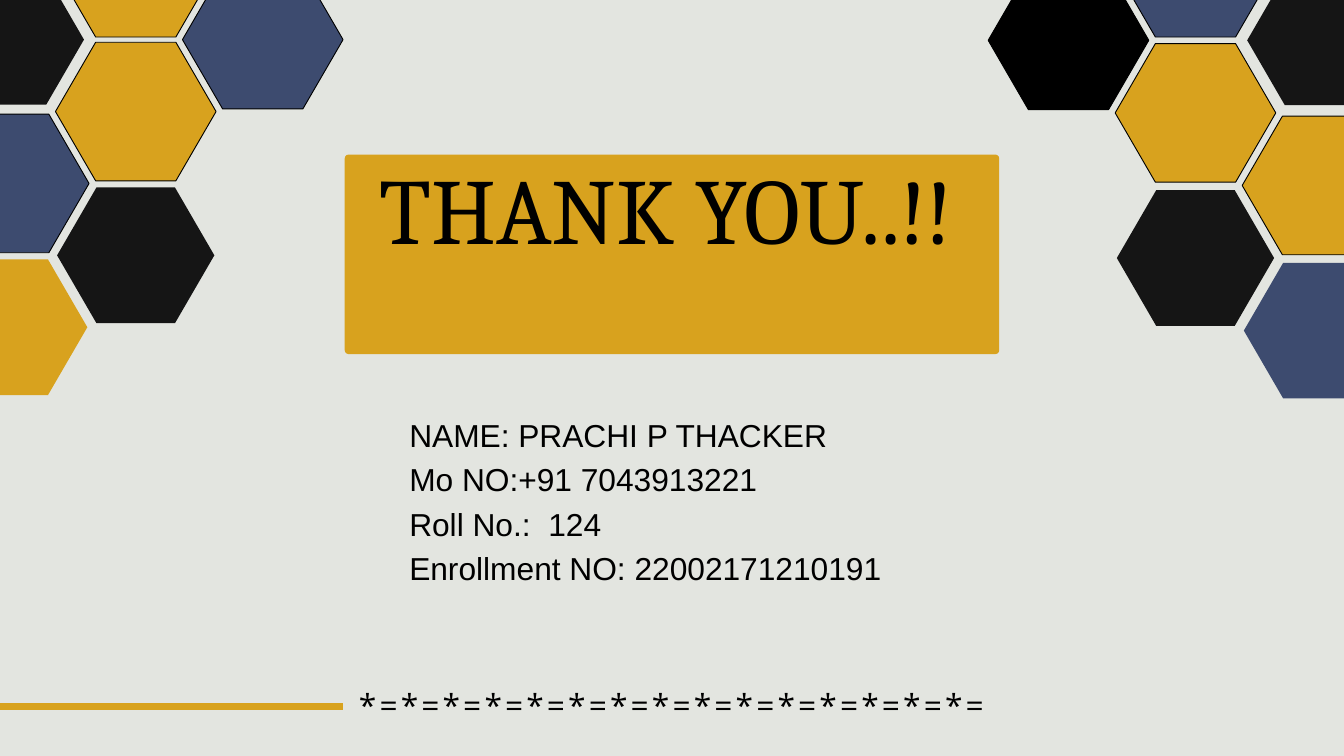
from dataclasses import dataclass

from lxml import etree
from pptx import Presentation
from pptx.dml.color import RGBColor
from pptx.enum.shapes import MSO_CONNECTOR, MSO_SHAPE
from pptx.enum.text import MSO_ANCHOR, MSO_AUTO_SIZE, PP_ALIGN
from pptx.oxml.ns import qn
from pptx.util import Inches, Pt

HEXAGON, ROUNDED = MSO_SHAPE.HEXAGON, MSO_SHAPE.ROUNDED_RECTANGLE
STRAIGHT = MSO_CONNECTOR.STRAIGHT
TOP, NO_FIT = MSO_ANCHOR.TOP, MSO_AUTO_SIZE.NONE
CENTER, JUSTIFY = PP_ALIGN.CENTER, PP_ALIGN.JUSTIFY
COLUMNS, ROWS = 20, 11.25
TITLE_ONLY = 5


@dataclass(frozen=True)
class Theme:
    paper: str = "E3E5E0"
    gold: str = "D8A21E"
    blue: str = "3D4B6F"
    ink: str = "151515"
    black: str = "000000"
    title_font: str = "Cambria"
    body_font: str = "Arial"
    ornament_font: str = "Open Sans"
    title_size: float = 99.8
    body_size: float = 34
    title_leading: float = 98.8
    body_leading: float = 47.6
    outline: float = 1
    rule: float = 7.5


class SlideBuilder:
    """Places elements on a grid of 20 columns by 11.25 rows."""

    def __init__(self, presentation, theme):
        self.theme = theme
        self.column = presentation.slide_width / COLUMNS
        self.row = presentation.slide_height / ROWS
        self.slide = presentation.slides.add_slide(presentation.slide_layouts[TITLE_ONLY])
        self.shapes = self.slide.shapes
        background = self.slide.background.fill
        background.solid()
        background.fore_color.rgb = RGBColor.from_string(theme.paper)

    def cells(self, x, y, width, height):
        return (round(x * self.column), round(y * self.row),
                round(width * self.column), round(height * self.row))

    def block(self, kind, box, color, corner, outlined=False):
        shape = self.shapes.add_shape(kind, *self.cells(*box))
        shape.adjustments[0] = corner
        shape.shadow.inherit = False
        shape.fill.solid()
        shape.fill.fore_color.rgb = RGBColor.from_string(color)
        if outlined:
            shape.line.color.rgb = RGBColor.from_string(self.theme.black)
            shape.line.width = Pt(self.theme.outline)
        else:
            shape.line.fill.background()

    def hexagon(self, center_x, center_y, width, color, outlined):
        height = width * 0.863
        box = (center_x - width / 2, center_y - height / 2, width, height)
        self.block(HEXAGON, box, color, 0.29, outlined)

    def rule(self, start_x, end_x, y):
        ends = self.cells(start_x, y, end_x, y)
        line = self.shapes.add_connector(STRAIGHT, *ends)
        line.line.color.rgb = RGBColor.from_string(self.theme.gold)
        line.line.width = Pt(self.theme.rule)
        etree.SubElement(line._element.spPr, qn("a:effectLst"))

    def title(self, box, wording):
        title = self.shapes.title
        self.shapes._spTree.append(title._element)  # in front of its panel
        title.left, title.top, title.width, title.height = self.cells(*box)
        theme = self.theme
        self.fill_frame(title.text_frame, [wording], theme.title_font, theme.title_size,
                        theme.title_leading, CENTER)

    def text(self, box, lines, font, align, inset_left=0, inset_top=0, tracking=None):
        frame = self.shapes.add_textbox(*self.cells(*box)).text_frame
        self.fill_frame(frame, lines, font, self.theme.body_size, self.theme.body_leading,
                        align, inset_left, inset_top, tracking)

    def fill_frame(self, frame, lines, font, size, leading, align,
                   inset_left=0, inset_top=0, tracking=None):
        frame_format = {
            "word_wrap": True, "auto_size": NO_FIT, "vertical_anchor": TOP,
            "margin_left": round(inset_left * self.column),
            "margin_top": round(inset_top * self.row),
            "margin_right": 0, "margin_bottom": 0,
        }
        line_format = {"alignment": align, "line_spacing": Pt(leading),
                       "space_before": Pt(0), "space_after": Pt(0)}
        apply_format(frame, frame_format)
        for index, wording in enumerate(lines):
            paragraph = frame.add_paragraph() if index else frame.paragraphs[0]
            apply_format(paragraph, line_format)
            run = paragraph.add_run()
            run.text = wording
            apply_format(run.font, {"name": font, "size": Pt(size)})
            run.font.color.rgb = RGBColor.from_string(self.theme.black)
            if tracking:
                run.font._element.set("spc", str(round(tracking * 100)))


def apply_format(target, values):
    for name, value in values.items():
        setattr(target, name, value)


def honeycomb(builder, edge_x, direction, half_step, tiles):
    """Each tile is (column from the edge, half steps down, width, colour, outlined)."""
    for column, steps, width, color, outlined in tiles:
        builder.hexagon(edge_x + direction * column * 1.89, steps * half_step - 0.48,
                        width, color, outlined)


def main():
    presentation = Presentation()
    presentation.slide_width, presentation.slide_height = Inches(COLUMNS), Inches(ROWS)
    theme = Theme()
    builder = SlideBuilder(presentation, theme)
    large, medium, small = 2.39, 2.34, 2.24

    builder.block(ROUNDED, (5.13, 2.3, 9.74, 2.97), theme.gold, 0.02)
    honeycomb(builder, 19.68, -1, 1.08, [
        (1, 0, large, theme.blue, True),
        (0, 1, small, theme.ink, False),
        (1, 2, large, theme.gold, True),
        (0, 3, large, theme.gold, True),
        (1, 4, medium, theme.ink, False),
        (0, 5, medium, theme.blue, False),
        (2, 1, large, theme.black, True),
    ])
    honeycomb(builder, 0.13, 1, 1.07, [
        (0, 5, medium, theme.gold, False),
        (0, 3, large, theme.blue, True),
        (1, 4, medium, theme.ink, False),
        (0, 1, small, theme.ink, False),
        (1, 0, large, theme.gold, True),
        (1, 2, large, theme.gold, True),
        (2, 1, large, theme.blue, True),
    ])
    builder.text((4.04, 10.11, 11.57, 0.63), ["*=" * 15], theme.ornament_font, CENTER,
                 inset_left=0.35, tracking=3.4)
    builder.rule(-0.19, 5.1, 10.51)
    builder.title((5.13, 2.55, 9.58, 2.81), "THANK YOU..!!")
    builder.text((6.09, 5.43, 17.55, 3.26), [
        "NAME: PRACHI P THACKER",
        "Mo NO:+91 7043913221",
        "Roll No.:  124",
        "Enrollment NO: 22002171210191",
    ], theme.body_font, JUSTIFY, inset_top=0.66)
    presentation.save("out.pptx")


if __name__ == "__main__":
    main()
